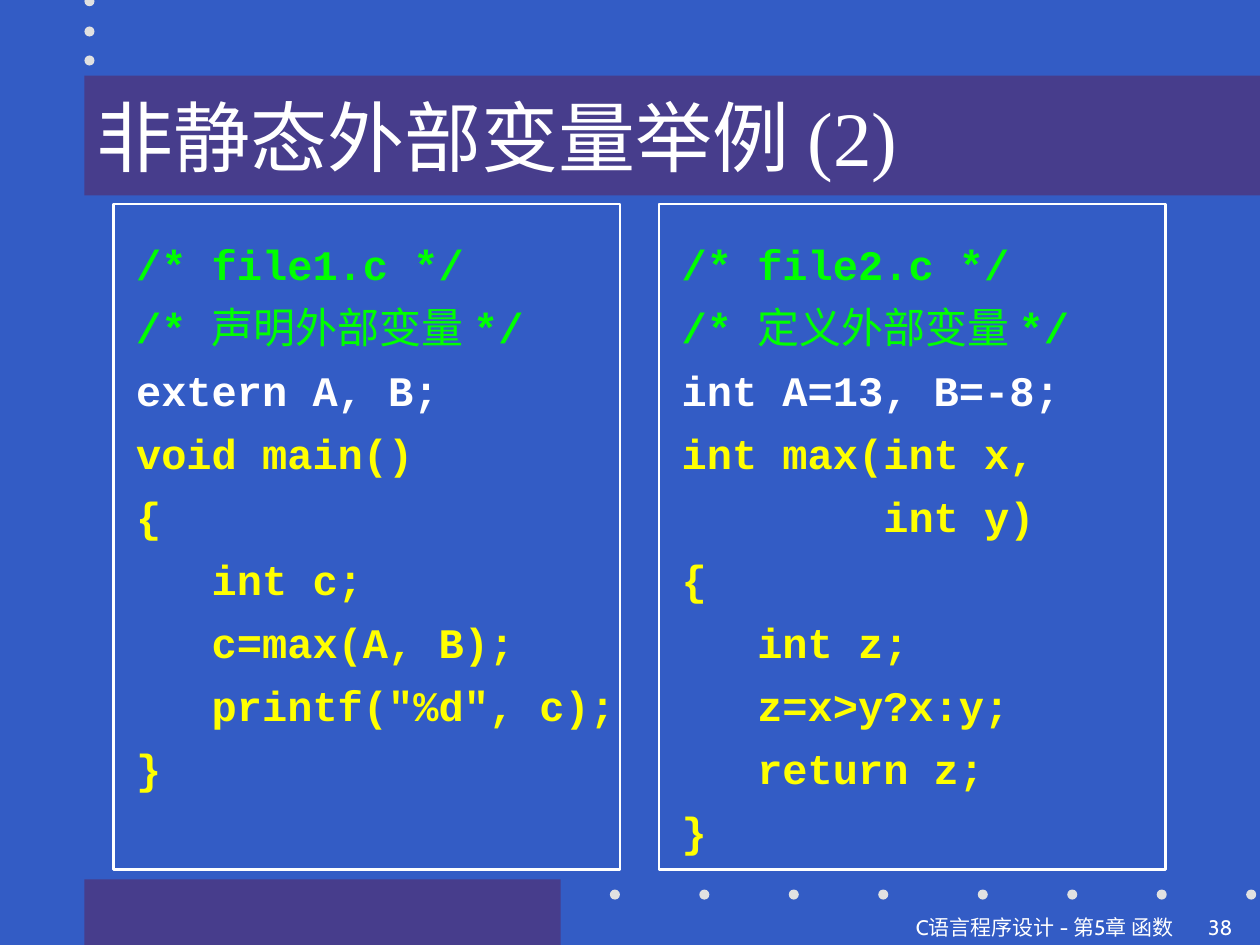
from dataclasses import dataclass

from pptx import Presentation
from pptx.dml.color import RGBColor
from pptx.enum import shapes, text
from pptx.util import Inches, Pt

COLORS = {
    "background": "335CC5",
    "band": "473D8C",
    "dot": "E1E1E1",
    "white": "FFFFFF",
    "comment": "00FF00",
    "code": "FFFF00",
}
CODE_FONT = "Courier New"
DOT_SIZE = 0.08
DOT_STEP = 0.71


@dataclass(frozen=True)
class Box:
    left: float
    top: float
    width: float
    height: float

    def lengths(self) -> tuple:
        return tuple(Inches(v) for v in (self.left, self.top, self.width, self.height))


@dataclass(frozen=True)
class Listing:
    left: float
    file_name: str
    purpose: str
    externals: str
    body: tuple[str, ...]


LISTINGS = (
    Listing(0.9, "file1.c", "声明外部变量", "extern A, B;", (
        "void main()",
        "{",
        "   int c;",
        "   c=max(A, B);",
        '   printf("%d", c);',
        "}",
    )),
    Listing(5.23, "file2.c", "定义外部变量", "int A=13, B=-8;", (
        "int max(int x,",
        "        int y)",
        "{",
        "   int z;",
        "   z=x>y?x:y;",
        "   return z;",
        "}",
    )),
)


def rgb(color: str) -> RGBColor:
    return RGBColor.from_string(COLORS[color])


def style(font, name: str, size: float, color: str, bold: bool = False) -> None:
    font.name = name
    font.size = Pt(size)
    font.bold = bold
    font.color.rgb = rgb(color)


def add_filled(slide, kind, box: Box, color: str):
    """Add a flat shape without outline."""
    shape = slide.shapes.add_shape(kind, *box.lengths())
    shape.shadow.inherit = False
    shape.fill.solid()
    shape.fill.fore_color.rgb = rgb(color)
    shape.line.fill.background()
    return shape


def add_dots(slide) -> None:
    column = [(0.67, top) for top in (-0.03, 0.21, 0.44)]
    row = [(start + i * DOT_STEP, 7.06) for start in (4.84, 7.76) for i in range(4)]
    for left, top in column + row:
        add_filled(slide, shapes.MSO_SHAPE.OVAL, Box(left, top, DOT_SIZE, DOT_SIZE), "dot")


def add_title(slide, title: str) -> None:
    band = add_filled(slide, shapes.MSO_SHAPE.RECTANGLE, Box(0.67, 0.6, 9.33, 0.95), "band")
    frame = band.text_frame
    frame.text = title
    frame.vertical_anchor = text.MSO_ANCHOR.MIDDLE
    frame.paragraphs[0].alignment = text.PP_ALIGN.LEFT
    style(frame.paragraphs[0].runs[0].font, "Times New Roman", 44, "white")


def add_listing(slide, listing: Listing) -> None:
    """Draw one outlined source file, its lines given as (text, color, bold) runs."""
    panel = slide.shapes.add_shape(
        shapes.MSO_SHAPE.RECTANGLE, *Box(listing.left, 1.62, 4.02, 5.28).lengths())
    panel.shadow.inherit = False
    panel.fill.background()
    panel.line.color.rgb = rgb("white")
    panel.line.width = Pt(1.5)

    frame = panel.text_frame
    frame.word_wrap = False
    frame.vertical_anchor = text.MSO_ANCHOR.TOP
    frame.margin_left = frame.margin_right = Inches(0.18)
    frame.margin_top = frame.margin_bottom = Inches(0.17)

    lines = [
        [(f"/* {listing.file_name} */", "comment", True)],
        [("/* ", "comment", True), (f"{listing.purpose} ", "comment", False),
         ("*/", "comment", True)],
        [(listing.externals, "white", True)],
        *([(line, "code", True)] for line in listing.body),
    ]
    for i, line in enumerate(lines):
        paragraph = frame.add_paragraph() if i else frame.paragraphs[0]
        paragraph.alignment = text.PP_ALIGN.LEFT
        paragraph.line_spacing = 1.25
        for words, color, bold in line:
            run = paragraph.add_run()
            run.text = words
            style(run.font, CODE_FONT, 24, color, bold)


def add_footer(slide, box: Box, words: str, alignment) -> None:
    frame = slide.shapes.add_textbox(*box.lengths()).text_frame
    frame.word_wrap = True
    frame.text = words
    frame.paragraphs[0].alignment = alignment
    style(frame.paragraphs[0].runs[0].font, "Cabin", 12, "white")


def main() -> None:
    deck = Presentation()
    deck.slide_width, deck.slide_height = Inches(10), Inches(7.5)
    slide = deck.slides.add_slide(deck.slide_layouts[6])
    slide.background.fill.solid()
    slide.background.fill.fore_color.rgb = rgb("background")

    add_filled(slide, shapes.MSO_SHAPE.RECTANGLE, Box(0.67, 6.98, 3.78, 0.52), "band")
    add_dots(slide)
    add_title(slide, "非静态外部变量举例 (2)")
    for listing in LISTINGS:
        add_listing(slide, listing)
    add_footer(slide, Box(0, 7.21, 9.41, 0.28), "C语言程序设计 - 第5章 函数", text.PP_ALIGN.RIGHT)
    add_footer(slide, Box(9.49, 7.21, 0.51, 0.28), "38", text.PP_ALIGN.LEFT)
    deck.save("out.pptx")


if __name__ == "__main__":
    main()
